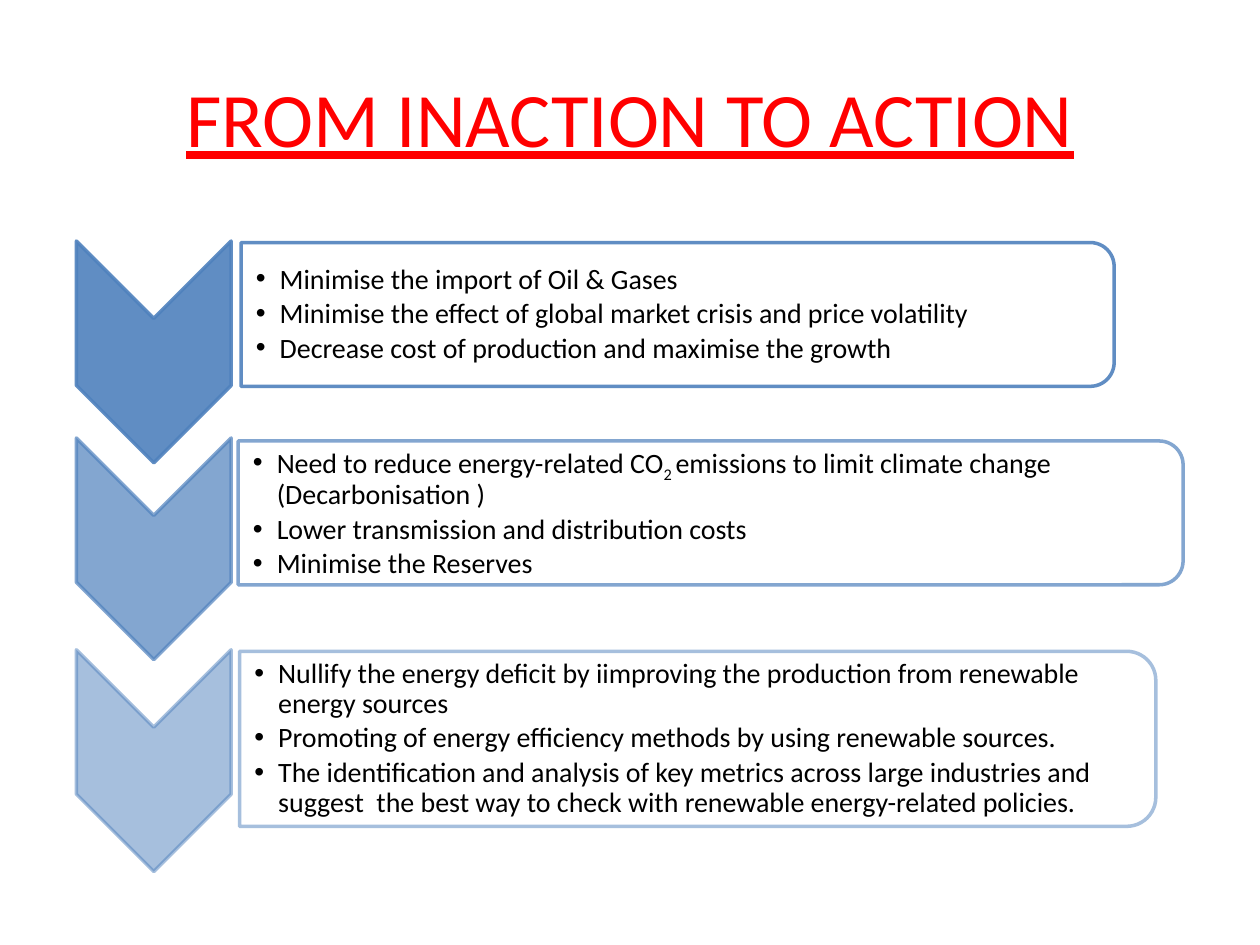
"""Build a slide of three chevron steps, each with a bulleted card."""
from dataclasses import dataclass

from lxml.etree import SubElement
from pptx import Presentation
from pptx.dml.color import RGBColor
from pptx.dml.fill import FillFormat
from pptx.enum.shapes import MSO_SHAPE
from pptx.enum.text import MSO_ANCHOR, PP_ALIGN
from pptx.oxml.ns import qn
from pptx.shapes.autoshape import Shape
from pptx.slide import Slide
from pptx.text.text import Font, _Paragraph
from pptx.util import Cm, Pt

BLUE, WHITE, BLACK, RED = "4F81BD", "FFFFFF", "000000", "FF0000"
FACE = "Calibri"
INSET = 0.0488


@dataclass
class Box:
    left: float
    top: float
    width: float
    height: float


@dataclass
class Step:
    alpha: int
    arrow_top: float
    card: Box
    items: list[list[str]]


STEPS = [
    Step(90, 4.86, Box(4.86, 4.89, 17.6, 2.9), [
        ["Minimise the import of Oil & Gases"],
        ["Minimise the effect of global market crisis and price volatility"],
        ["Decrease cost of production and maximise the growth"],
    ]),
    Step(70, 8.83, Box(4.8, 8.89, 19.05, 2.9), [
        ["Need to reduce energy-related CO", "2 ",
         "emissions to limit climate change (Decarbonisation )"],
        ["Lower transmission and distribution costs"],
        ["Minimise the Reserves"],
    ]),
    Step(50, 13.1, Box(4.83, 13.13, 18.47, 3.53), [
        ["Nullify the energy deficit by iimproving the production from "
         "renewable energy sources"],
        ["Promoting of energy efficiency methods by using renewable sources."],
        ["The identification and analysis of key metrics across large "
         "industries and suggest  the best way to check with renewable "
         "energy-related policies."],
    ]),
]


def color(code: str) -> RGBColor:
    """Turn a hex string into a colour."""
    return RGBColor.from_string(code)


def paint(fill: FillFormat, code: str, alpha: int) -> None:
    """Fill with a colour at an opacity in percent."""
    fill.solid()
    fill.fore_color.rgb = color(code)
    tone = fill._xPr.find(qn("a:solidFill"))[0]
    SubElement(tone, qn("a:alpha"), val=str(alpha * 1000))


def style(font: Font, size: int, code: str) -> None:
    """Set the face, size and colour of a font."""
    font.name, font.size = FACE, Pt(size)
    font.color.rgb = color(code)


def add_turned(slide: Slide, kind: MSO_SHAPE, box: Box, code: str,
               fill: int, line: int) -> Shape:
    """Add a shape turned a quarter so that it covers the box."""
    shift = (box.width - box.height) / 2
    shape = slide.shapes.add_shape(
        kind, Cm(box.left + shift), Cm(box.top - shift),
        Cm(box.height), Cm(box.width))
    shape.rotation = 90
    shape.shadow.inherit = False
    paint(shape.fill, code, fill)
    shape.line.width = Pt(2)
    paint(shape.line.fill, BLUE, line)
    return shape


def add_item(para: _Paragraph, parts: list[str]) -> None:
    """Write one bullet, with every second part as subscript."""
    para.line_spacing = 0.9
    props = para._p.get_or_add_pPr()
    props.set("marL", str(Cm(0.48)))
    props.set("indent", str(Cm(-0.48)))
    after = SubElement(props, qn("a:spcAft"))
    SubElement(after, qn("a:spcPct"), val="15000")
    SubElement(props, qn("a:buFont"), typeface="Arial")
    SubElement(props, qn("a:buChar"), char="•")
    for spot, part in enumerate(parts):
        run = para.add_run()
        run.text = part
        style(run.font, 16, BLACK)
        if spot % 2:
            run.font._element.set("baseline", "-25000")


def add_list(slide: Slide, card: Box, items: list[list[str]]) -> None:
    """Add the bullets inside the rounded corners of a card."""
    pad = card.height * INSET
    box = slide.shapes.add_textbox(
        Cm(card.left), Cm(card.top + pad),
        Cm(card.width - pad), Cm(card.height - 2 * pad))
    frame = box.text_frame
    frame.word_wrap = True
    frame.vertical_anchor = MSO_ANCHOR.MIDDLE
    frame.margin_left = Cm(0.3)
    frame.margin_top = frame.margin_right = frame.margin_bottom = Cm(0.03)
    for spot, parts in enumerate(items):
        para = frame.add_paragraph() if spot else frame.paragraphs[0]
        add_item(para, parts)


def add_step(slide: Slide, step: Step) -> None:
    """Add a chevron with its card."""
    arrow = Box(1.54, step.arrow_top, 3.12, 4.47)
    add_turned(slide, MSO_SHAPE.CHEVRON, arrow, BLUE, step.alpha, step.alpha)
    add_turned(slide, MSO_SHAPE.ROUND_2_SAME_RECTANGLE, step.card, WHITE,
               90, step.alpha)
    add_list(slide, step.card, step.items)


def add_title(slide: Slide, text: str) -> None:
    """Place and format the title."""
    title = slide.shapes.title
    title.left, title.top = Cm(1.27), Cm(0.76)
    title.width, title.height = Cm(22.86), Cm(3.18)
    title.text_frame.vertical_anchor = MSO_ANCHOR.MIDDLE
    para = title.text_frame.paragraphs[0]
    para.alignment = PP_ALIGN.CENTER
    run = para.add_run()
    run.text = text
    style(run.font, 44, RED)
    run.font.underline = True


def main() -> None:
    """Build and save the deck."""
    deck = Presentation()
    deck.slide_width, deck.slide_height = Cm(25.4), Cm(19.05)
    slide = deck.slides.add_slide(deck.slide_layouts[5])
    add_title(slide, "FROM INACTION TO ACTION")
    for step in STEPS:
        add_step(slide, step)
    deck.save("out.pptx")


if __name__ == "__main__":
    main()
